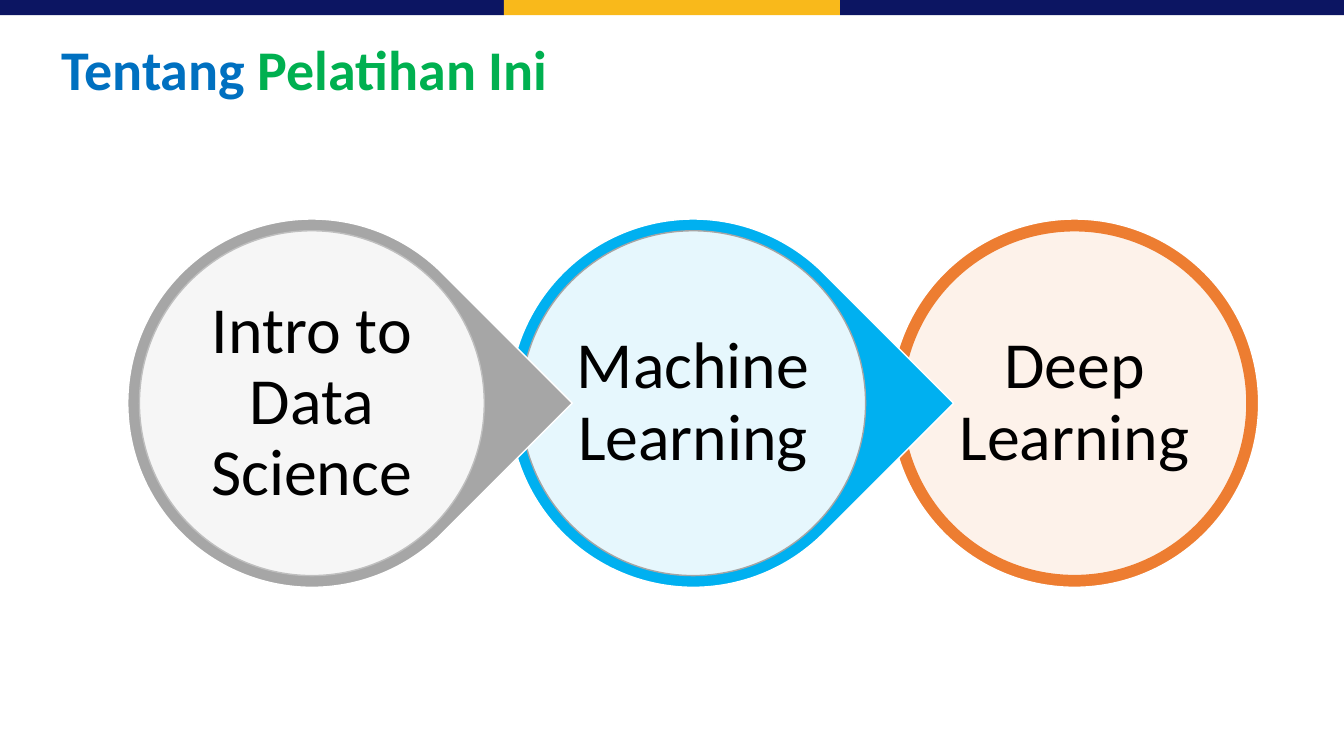
import dataclasses

import pptx
import pptx.dml.color
import pptx.enum.shapes
import pptx.enum.text
import pptx.oxml
import pptx.oxml.ns
import pptx.util

Cm = pptx.util.Cm
Pt = pptx.util.Pt
SHAPES = pptx.enum.shapes.MSO_SHAPE
ALIGN = pptx.enum.text.PP_ALIGN
ANCHOR = pptx.enum.text.MSO_ANCHOR


@dataclasses.dataclass(frozen=True)
class Theme:
    font: str = "Calibri"
    title_size: int = 40
    stage_size: int = 47
    navy: str = "0C1562"
    yellow: str = "F9B91B"
    title_blue: str = "0070C0"
    title_green: str = "00B050"
    text: str = "000000"
    white: str = "FFFFFF"
    grey: str = "A6A6A6"
    light_grey: str = "BFBFBF"
    mid_grey: str = "A5A5A5"
    cyan: str = "00B0F0"
    orange: str = "ED7D31"


THEME = Theme()

# Sizes in centimetres
SLIDE_WIDTH, SLIDE_HEIGHT = 33.87, 19.05
BAR_HEIGHT = 0.38
FIRST_CENTER, CENTER_STEP, CENTER_Y = 7.86, 9.61, 10.16
OUTER_SIZE, INNER_SIZE, LABEL_SIZE = 9.28, 8.69, 6.2
LABEL_MARGIN = 0.05

# Label, outer shape, outer colour, inner outline colour
STAGES = [
    ("Intro to Data Science", SHAPES.TEAR, THEME.grey, THEME.light_grey),
    ("Machine Learning", SHAPES.TEAR, THEME.cyan, THEME.mid_grey),
    ("Deep Learning", SHAPES.OVAL, THEME.orange, THEME.orange),
]


def rgb(color):
    return pptx.dml.color.RGBColor.from_string(color)


def apply_format(target, values):
    for name, value in values.items():
        setattr(target, name, value)


def centered_box(center_x, size):
    return Cm(center_x - size / 2), Cm(CENTER_Y - size / 2), Cm(size), Cm(size)


def add_run(paragraph, text, size, color, bold=False):
    run = paragraph.add_run()
    run.text = text
    apply_format(run.font, {"name": THEME.font, "size": Pt(size), "bold": bold})
    run.font.color.rgb = rgb(color)


def add_filled_shape(slide, kind, box, fill, line=None, opacity=None):
    shape = slide.shapes.add_shape(kind, *box)
    shape.shadow.inherit = False
    shape.fill.solid()
    shape.fill.fore_color.rgb = rgb(fill)
    if line:
        shape.line.color.rgb = rgb(line)
        shape.line.width = Pt(1)
    else:
        shape.line.fill.background()
    if opacity is not None:
        # The first colour element in the shape is its fill
        color = shape.element.spPr.find(".//" + pptx.oxml.ns.qn("a:srgbClr"))
        color.append(pptx.oxml.parse_xml(
            f'<a:alpha {pptx.oxml.ns.nsdecls("a")} val="{opacity * 1000}"/>'))
    return shape


def add_top_bar(slide):
    left = 0
    for share, color in ((0.375, THEME.navy), (0.25, THEME.yellow), (0.375, THEME.navy)):
        width = SLIDE_WIDTH * share
        box = Cm(left), Cm(0), Cm(width), Cm(BAR_HEIGHT)
        add_filled_shape(slide, SHAPES.RECTANGLE, box, color)
        left += width


def format_title(slide):
    title = slide.shapes.title
    apply_format(title, {"left": Cm(1.3), "top": Cm(0.74),
                         "width": Cm(13.31), "height": Cm(1.96)})
    apply_format(title.text_frame, {
        "word_wrap": False,
        "vertical_anchor": ANCHOR.TOP,
        "auto_size": pptx.enum.text.MSO_AUTO_SIZE.SHAPE_TO_FIT_TEXT,
    })
    paragraph = title.text_frame.paragraphs[0]
    apply_format(paragraph, {"alignment": ALIGN.LEFT, "space_before": Pt(0)})
    add_run(paragraph, "Tentang ", THEME.title_size, THEME.title_blue, bold=True)
    add_run(paragraph, "Pelatihan Ini", THEME.title_size, THEME.title_green, bold=True)


def add_label(slide, text, center_x):
    frame = slide.shapes.add_textbox(*centered_box(center_x, LABEL_SIZE)).text_frame
    apply_format(frame, {"word_wrap": True, "vertical_anchor": ANCHOR.MIDDLE})
    # Narrow margins keep the longest word on one line
    for side in ("left", "top", "right", "bottom"):
        setattr(frame, f"margin_{side}", Cm(LABEL_MARGIN))
    paragraph = frame.paragraphs[0]
    apply_format(paragraph, {"alignment": ALIGN.CENTER, "line_spacing": 0.9})
    add_run(paragraph, text, THEME.stage_size, THEME.text)


def add_stage(slide, center_x, label, kind, color, inner_line):
    outer = add_filled_shape(slide, kind, centered_box(center_x, OUTER_SIZE),
                             color, THEME.white)
    if kind == SHAPES.TEAR:
        outer.rotation = 45
    add_filled_shape(slide, SHAPES.OVAL, centered_box(center_x, INNER_SIZE),
                     THEME.white, inner_line, opacity=90)
    add_label(slide, label, center_x)


def main():
    presentation = pptx.Presentation()
    presentation.slide_width = Cm(SLIDE_WIDTH)
    presentation.slide_height = Cm(SLIDE_HEIGHT)
    slide = presentation.slides.add_slide(presentation.slide_layouts[5])

    # Header
    add_top_bar(slide)
    format_title(slide)

    # Stages from right to left, so each tip lies over the next circle
    for index, stage in reversed(list(enumerate(STAGES))):
        add_stage(slide, FIRST_CENTER + index * CENTER_STEP, *stage)

    presentation.save("out.pptx")


if __name__ == "__main__":
    main()
